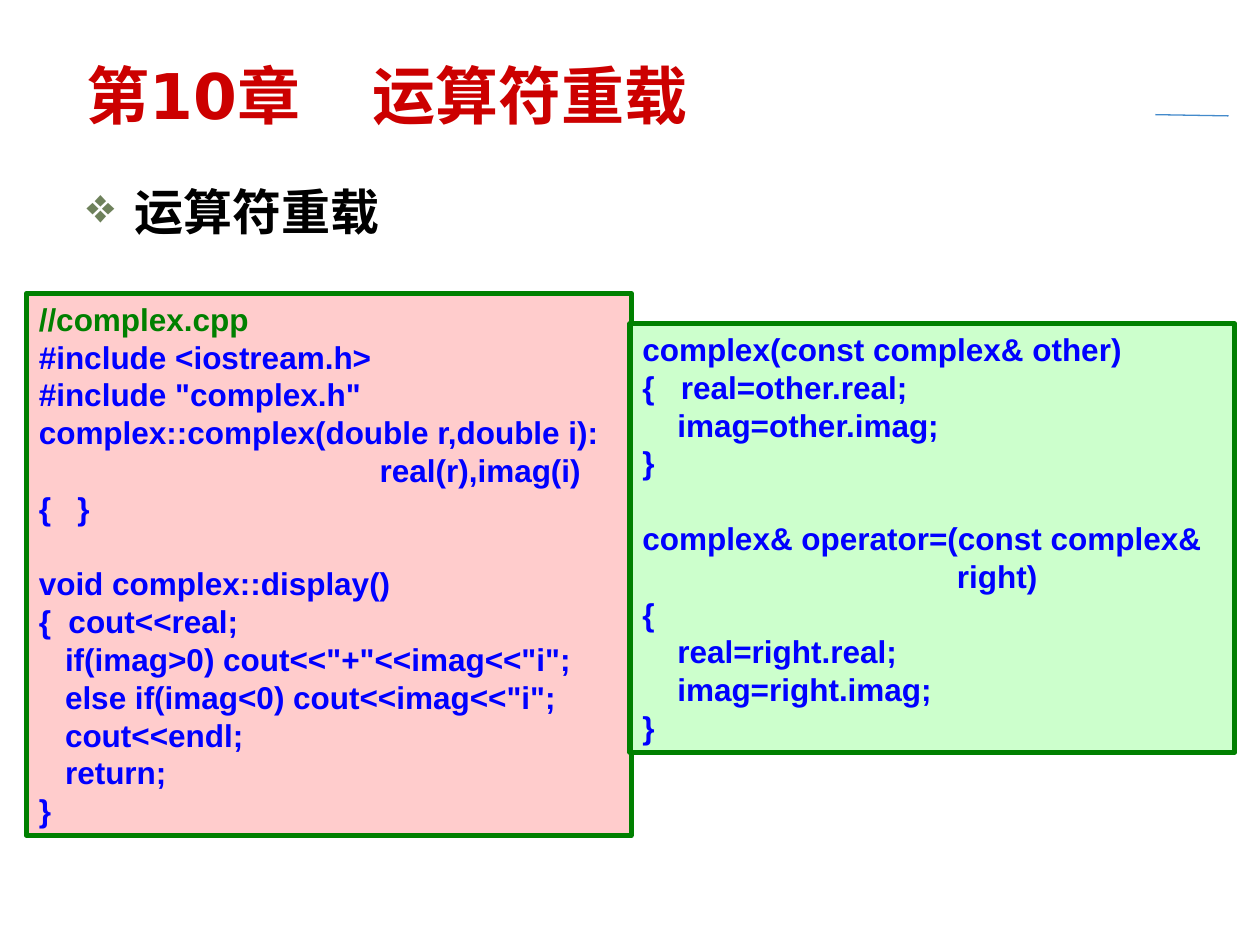
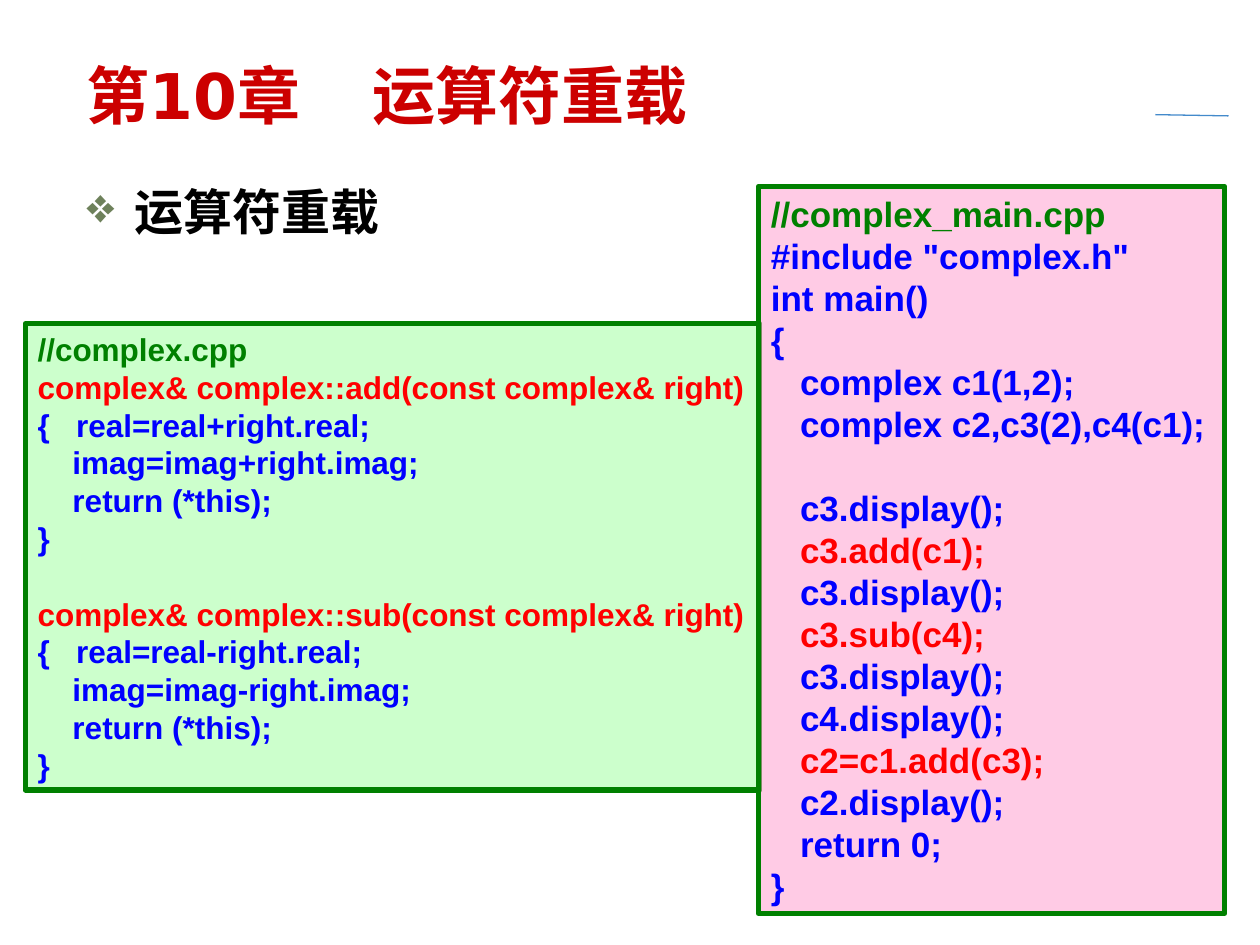
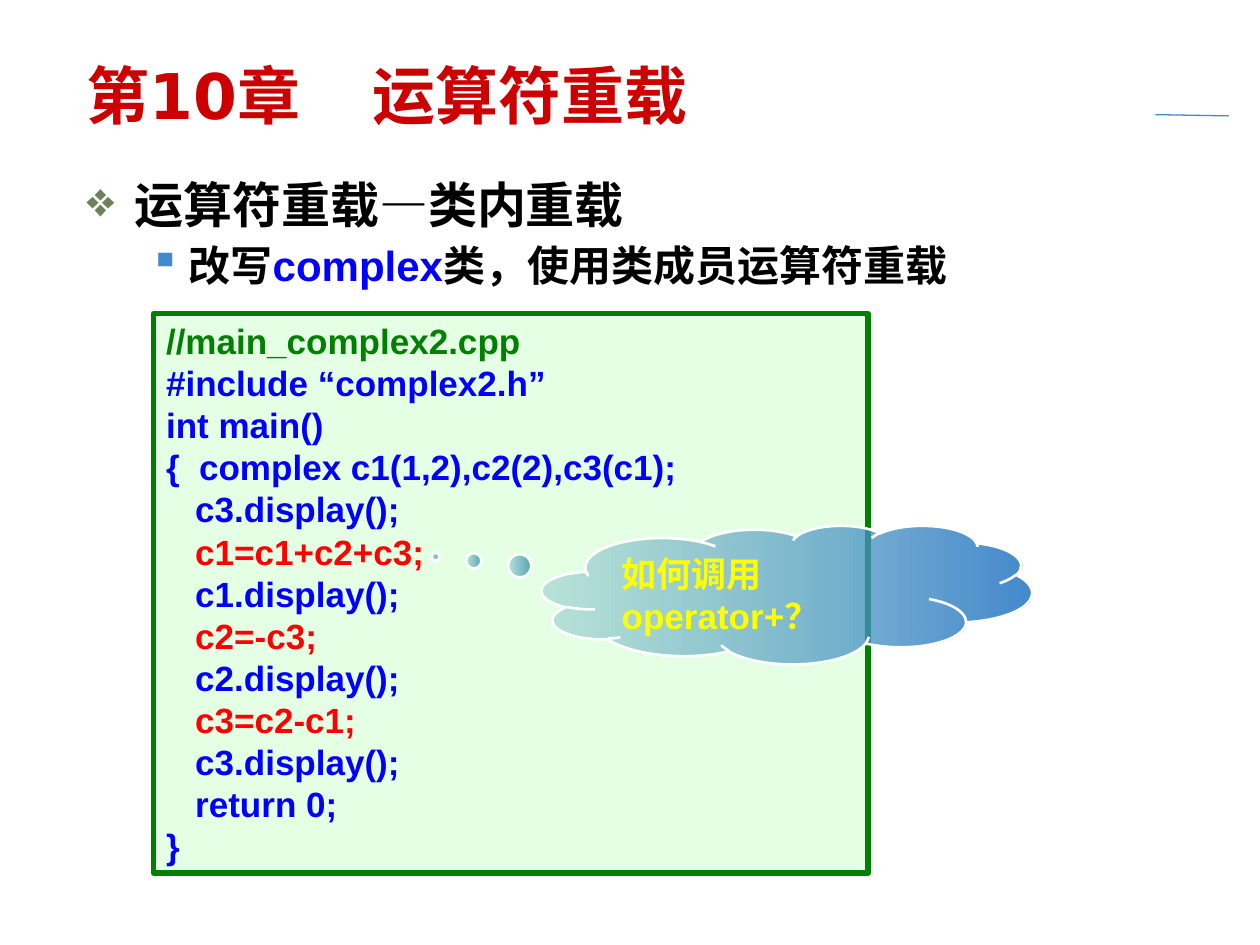
from dataclasses import dataclass
from typing import Optional

from lxml.etree import SubElement
from pptx import Presentation
from pptx.dml.color import RGBColor
from pptx.enum.shapes import MSO_CONNECTOR, MSO_SHAPE
from pptx.enum.text import MSO_ANCHOR, PP_ALIGN
from pptx.oxml.ns import qn
from pptx.util import Inches, Pt

# Colours and fonts
TITLE_RED = RGBColor(0xCC, 0x00, 0x00)
BLACK = RGBColor(0x00, 0x00, 0x00)
WHITE = RGBColor(0xFF, 0xFF, 0xFF)
YELLOW = RGBColor(0xFF, 0xFF, 0x00)
RED = RGBColor(0xFF, 0x00, 0x00)
CODE_BLUE = RGBColor(0x00, 0x00, 0xFF)
CODE_GREEN = RGBColor(0x00, 0x80, 0x00)
OLIVE = RGBColor(0x6E, 0x81, 0x5B)
SKY = RGBColor(0x43, 0x8A, 0xCB)
TEAL = RGBColor(0x51, 0xA0, 0xB9)
ROSE = RGBColor(0xFF, 0xCC, 0xCC)
MINT = RGBColor(0xCC, 0xFF, 0xCC)
PINK = RGBColor(0xFF, 0x99, 0xCC)
HEADING_FONT = "DejaVu Sans"
CODE_FONT = "Arial"
CODE_LINE_HEIGHT = 1.2


@dataclass(frozen=True)
class BulletLevel:
    marker: str
    color: RGBColor
    margin: float
    hanging: float
    size: int
    font: str
    space_before: int


@dataclass(frozen=True)
class Phrase:
    text: str
    color: RGBColor = BLACK
    font: Optional[str] = None


@dataclass(frozen=True)
class Topic:
    level: BulletLevel
    phrases: tuple[Phrase, ...]


@dataclass(frozen=True)
class CodeBox:
    left: float
    top: float
    width: float
    height: float
    fill: RGBColor
    code: str
    size: int = 18
    opacity: int = 100
    highlights: tuple[str, ...] = ()


@dataclass(frozen=True)
class Page:
    topics: tuple[Topic, ...]
    boxes: tuple[CodeBox, ...]
    topics_height: float = 5.36
    topics_spacing: float = 1.0


MAIN_LEVEL = BulletLevel("❖", OLIVE, 0.38, 0.38, 28, HEADING_FONT, 7)
SUB_LEVEL = BulletLevel("▪", SKY, 0.81, 0.31, 24, CODE_FONT, 6)
OVERLOADING = Phrase("运算符重载")

# Program listings
COMPLEX_DISPLAY = """\
//complex.cpp
#include <iostream.h>
#include "complex.h"
complex::complex(double r,double i):
                                       real(r),imag(i)
{   }

void complex::display()
{  cout<<real;
   if(imag>0) cout<<"+"<<imag<<"i";
   else if(imag<0) cout<<imag<<"i";
   cout<<endl;
   return;
}"""

COMPLEX_COPY = """\
complex(const complex& other)
{   real=other.real;
    imag=other.imag;
}

complex& operator=(const complex&
                                    right)
{
    real=right.real;
    imag=right.imag;
}"""

COMPLEX_ADD_SUB = """\
//complex.cpp
complex& complex::add(const complex& right)
{   real=real+right.real;
    imag=imag+right.imag;
    return (*this);
}

complex& complex::sub(const complex& right)
{   real=real-right.real;
    imag=imag-right.imag;
    return (*this);
}"""

COMPLEX_MAIN = """\
//complex_main.cpp
#include "complex.h"
int main()
{
   complex c1(1,2);
   complex c2,c3(2),c4(c1);

   c3.display();
   c3.add(c1);
   c3.display();
   c3.sub(c4);
   c3.display();
   c4.display();
   c2=c1.add(c3);
   c2.display();
   return 0;
}"""

MAIN_COMPLEX2 = """\
//main_complex2.cpp
#include “complex2.h”
int main()
{  complex c1(1,2),c2(2),c3(c1);
   c3.display();
   c1=c1+c2+c3;
   c1.display();
   c2=-c3;
   c2.display();
   c3=c2-c1;
   c3.display();
   return 0;
}"""

PAGES = (
    Page(
        (Topic(MAIN_LEVEL, (OVERLOADING,)),),
        (
            CodeBox(0.21, 2.33, 4.8, 4.3, ROSE, COMPLEX_DISPLAY),
            CodeBox(5, 2.57, 4.8, 3.4, MINT, COMPLEX_COPY),
        ),
    ),
    Page(
        (Topic(MAIN_LEVEL, (OVERLOADING,)),),
        (
            CodeBox(0.2, 2.57, 5.83, 3.7, MINT, COMPLEX_ADD_SUB, highlights=(
                "complex& complex::add(const complex& right)",
                "complex& complex::sub(const complex& right)")),
            CodeBox(6.02, 1.48, 3.7, 5.77, PINK, COMPLEX_MAIN, 20, 51,
                    ("c3.add(c1);", "c3.sub(c4);", "c2=c1.add(c3);")),
        ),
    ),
    Page(
        (
            Topic(MAIN_LEVEL, (OVERLOADING, Phrase("—", font=CODE_FONT), Phrase("类内重载"))),
            Topic(SUB_LEVEL, (Phrase("改写"), Phrase("complex", CODE_BLUE),
                              Phrase("类，使用类成员运算符重载"))),
        ),
        (CodeBox(1.22, 2.49, 5.67, 4.44, MINT, MAIN_COMPLEX2, 20, 51,
                 ("c1=c1+c2+c3;", "c2=-c3;", "c3=c2-c1;")),),
        topics_height=1.02,
        topics_spacing=0.9,
    ),
)


def style_font(font, name: str, size: int, color: RGBColor) -> None:
    font.name = name
    font.size = Pt(size)
    font.bold = True
    font.color.rgb = color


def set_first_opacity(shape, percent: int) -> None:
    """Set the opacity of the first colour of the shape's fill."""
    color = next(shape.element.spPr.iter(qn("a:srgbClr")))
    SubElement(color, qn("a:alpha"), val=str(percent * 1000))


def add_bullet(paragraph, level: BulletLevel) -> None:
    properties = paragraph._p.get_or_add_pPr()
    properties.set("marL", str(Inches(level.margin)))
    properties.set("indent", str(-Inches(level.hanging)))
    marker_color = SubElement(properties, qn("a:buClr"))
    SubElement(marker_color, qn("a:srgbClr"), val=str(level.color))
    SubElement(properties, qn("a:buChar"), char=level.marker)


def add_corner_rule(slide) -> None:
    rule = slide.shapes.add_connector(
        MSO_CONNECTOR.STRAIGHT, Inches(9.17), Inches(0.91), Inches(9.75), Inches(0.92))
    rule.line.color.rgb = SKY
    rule.line.width = Pt(0.75)
    SubElement(rule._element.spPr, qn("a:effectLst"))


def add_title(slide) -> None:
    frame = slide.shapes.add_textbox(
        Inches(0.59), Inches(0.44), Inches(7.49), Inches(0.62)).text_frame
    frame.word_wrap = True
    frame.vertical_anchor = MSO_ANCHOR.MIDDLE
    heading = frame.paragraphs[0]
    heading.text = "第10章\t运算符重载"
    tabs = SubElement(heading._p.get_or_add_pPr(), qn("a:tabLst"))
    SubElement(tabs, qn("a:tab"), pos=str(Inches(2.27)), algn="l")
    style_font(heading.font, HEADING_FONT, 36, TITLE_RED)


def add_topics(slide, page: Page) -> None:
    frame = slide.shapes.add_textbox(
        Inches(0.59), Inches(1.39), Inches(9.14), Inches(page.topics_height)).text_frame
    frame.word_wrap = True
    for index, topic in enumerate(page.topics):
        level = topic.level
        paragraph = frame.add_paragraph() if index else frame.paragraphs[0]
        add_bullet(paragraph, level)
        paragraph.line_spacing = page.topics_spacing
        if index:
            paragraph.space_before = Pt(level.space_before)
        for phrase in topic.phrases:
            run = paragraph.add_run()
            run.text = phrase.text
            style_font(run.font, phrase.font or level.font, level.size, phrase.color)


def code_color(line: str, highlights: tuple[str, ...]) -> RGBColor:
    if line.startswith("//"):
        return CODE_GREEN
    return RED if line.strip() in highlights else CODE_BLUE


def add_code_box(slide, box: CodeBox) -> None:
    panel = slide.shapes.add_shape(
        MSO_SHAPE.RECTANGLE, Inches(box.left), Inches(box.top),
        Inches(box.width), Inches(box.height))
    panel.shadow.inherit = False
    panel.fill.solid()
    panel.fill.fore_color.rgb = box.fill
    if box.opacity < 100:
        set_first_opacity(panel, box.opacity)
    panel.line.color.rgb = CODE_GREEN
    panel.line.width = Pt(3)
    frame = panel.text_frame
    frame.word_wrap = True
    frame.vertical_anchor = MSO_ANCHOR.TOP

    # An empty code line becomes space before the next one
    line_height = Pt(box.size * CODE_LINE_HEIGHT)
    paragraph, gap = frame.paragraphs[0], False
    for index, line in enumerate(box.code.splitlines()):
        if not line:
            gap = True
            continue
        if index:
            paragraph = frame.add_paragraph()
        paragraph.text = line
        paragraph.alignment = PP_ALIGN.LEFT
        paragraph.line_spacing = line_height
        if gap:
            paragraph.space_before = line_height
            gap = False
        style_font(paragraph.font, CODE_FONT, box.size, code_color(line, box.highlights))


def add_question_cloud(slide) -> None:
    cloud = slide.shapes.add_shape(
        MSO_SHAPE.CLOUD_CALLOUT, Inches(4.3), Inches(4.17), Inches(3.89), Inches(1.1))
    cloud.adjustments[0] = -0.717
    cloud.adjustments[1] = -0.274
    cloud.shadow.inherit = False
    cloud.fill.gradient()
    cloud.fill.gradient_angle = 0
    for stop, color in zip(cloud.fill.gradient_stops, (TEAL, SKY)):
        stop.color.rgb = color
    set_first_opacity(cloud, 30)
    cloud.line.color.rgb = WHITE
    cloud.line.width = Pt(1.5)
    frame = cloud.text_frame
    frame.word_wrap = True
    frame.margin_right = 0
    frame.vertical_anchor = MSO_ANCHOR.TOP
    question = frame.paragraphs[0]
    question.text = "如何调用operator+？"
    question.alignment = PP_ALIGN.LEFT
    style_font(question.font, CODE_FONT, 20, YELLOW)


def main() -> None:
    deck = Presentation()
    deck.slide_width, deck.slide_height = Inches(10), Inches(7.5)
    for page in PAGES:
        slide = deck.slides.add_slide(deck.slide_layouts[6])
        add_corner_rule(slide)
        add_topics(slide, page)
        for box in page.boxes:
            add_code_box(slide, box)
        add_title(slide)
    # The last slide asks how the operator is called
    add_question_cloud(slide)
    deck.save("out.pptx")


if __name__ == "__main__":
    main()
